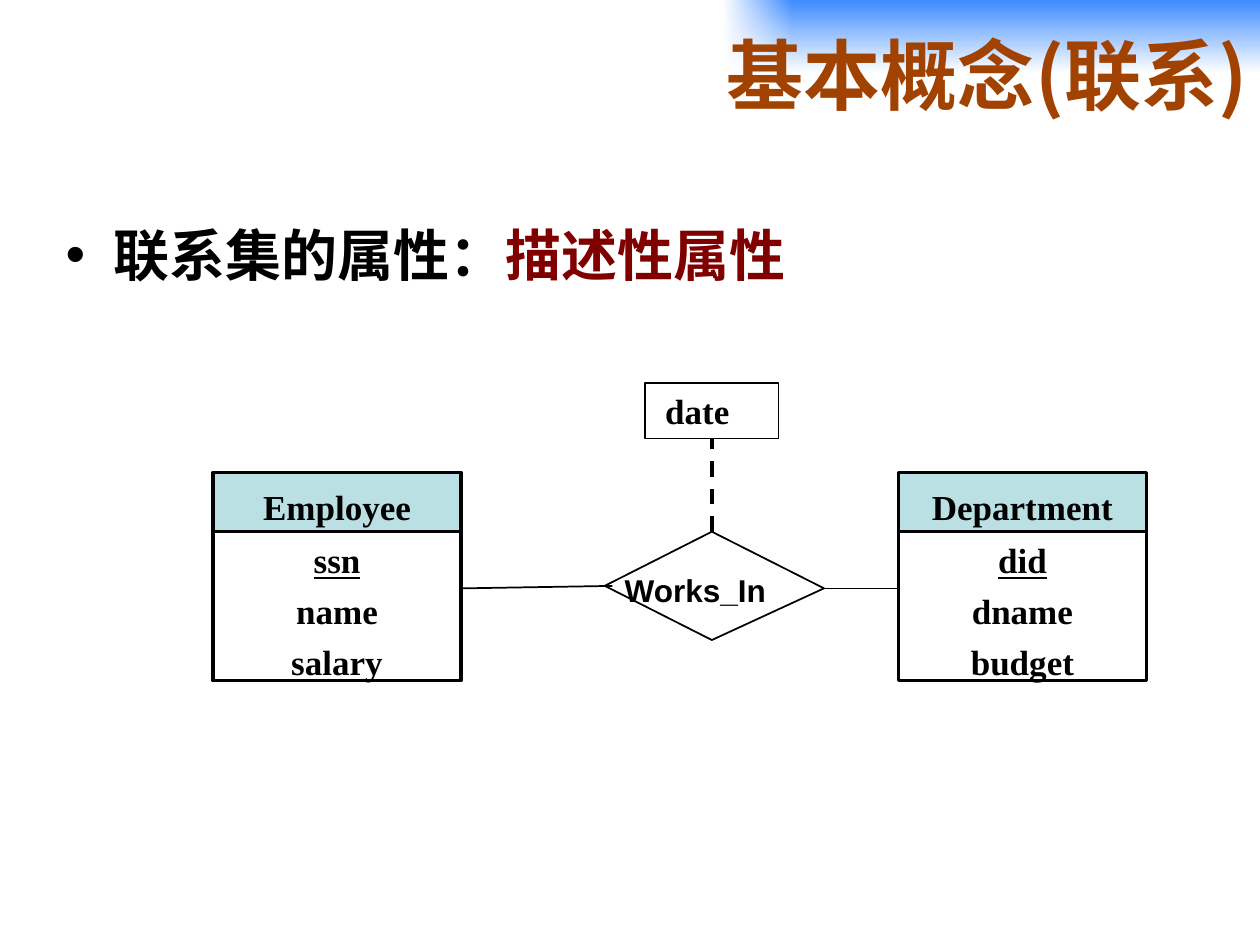
from dataclasses import dataclass

from lxml import etree
from pptx import Presentation
from pptx.dml.color import RGBColor
from pptx.enum import dml, shapes, text
from pptx.oxml.ns import qn
from pptx.util import Inches, Pt


@dataclass(frozen=True)
class Theme:
    black: str = "000000"
    white: str = "FFFFFF"
    title: str = "A24200"
    accent: str = "800000"
    header: str = "BBE0E3"
    sky: str = "3D8BFF"
    title_size: int = 44
    body_size: int = 32
    entity_size: int = 20
    relation_size: int = 18
    title_font: str = "Noto Sans CJK SC"
    body_font: str = "Noto Sans CJK JP"
    serif: str = "Times New Roman"
    sans: str = "Arial"


T = Theme()
ENTITY_W, HEADER_H, ATTRS_H = 1.97, 0.47, 1.18
ENTITY_TOP, LINK_Y = 3.75, 4.67


def rgb(value):
    return RGBColor.from_string(value)


def place(sp, x, y, w, h):
    sp.left, sp.top, sp.width, sp.height = (Inches(v) for v in (x, y, w, h))


def add_text(p, content, size=T.entity_size, font=T.serif, color=T.black, underline=False):
    r = p.add_run()
    r.text = content
    f = r.font
    f.size, f.name, f.bold, f.underline = Pt(size), font, True, underline
    f.color.rgb = rgb(color)
    ea = etree.SubElement(r._r.get_or_add_rPr(), qn("a:ea"))
    ea.set("typeface", font)


def set_frame(tf, anchor=text.MSO_ANCHOR.MIDDLE, wrap=True, left=0.1, top=0.05, bottom=0.05):
    tf.word_wrap, tf.vertical_anchor = wrap, anchor
    tf.auto_size = text.MSO_AUTO_SIZE.NONE
    tf.margin_left, tf.margin_right = Inches(left), Inches(0.1)
    tf.margin_top, tf.margin_bottom = Inches(top), Inches(bottom)


def add_box(s, x, y, w, h, fill=None, line=2):
    sp = s.shapes.add_shape(shapes.MSO_SHAPE.RECTANGLE, *(Inches(v) for v in (x, y, w, h)))
    sp.shadow.inherit = False
    if fill:
        sp.fill.solid()
        sp.fill.fore_color.rgb = rgb(fill)
    else:
        sp.fill.background()
    if line:
        sp.line.color.rgb = rgb(T.black)
        sp.line.width = Pt(line)
    else:
        sp.line.fill.background()
    return sp


def add_line(s, start, end, width=1, dash=None):
    points = [Inches(v) for v in (*start, *end)]
    c = s.shapes.add_connector(shapes.MSO_CONNECTOR.STRAIGHT, *points)
    c.line.color.rgb = rgb(T.black)
    c.line.width = Pt(width)
    if dash:
        c.line.dash_style = dash
    etree.SubElement(c._element.spPr, qn("a:effectLst"))
    return c


def add_gradient(s, box, colors, angle):
    sp = add_box(s, *box, line=None)
    sp.fill.gradient()
    sp.fill.gradient_angle = angle
    for stop, color, position in zip(sp.fill.gradient_stops, colors, (0, 1)):
        stop.color.rgb = rgb(color)
        stop.position = position
    return sp


def add_corner(s):
    """Blue corner band that fades out downwards and to the left."""
    add_gradient(s, (5.74, 0, 4.26, 0.58), (T.sky, T.white), 270)
    fade = add_gradient(s, (5.74, 0, 0.54, 0.58), (T.white, T.white), 0)
    last = fade._element.findall(".//" + qn("a:srgbClr"))[-1]
    etree.SubElement(last, qn("a:alpha")).set("val", "0")


def add_title(sp):
    place(sp, 1.46, 0, 8.54, 1.17)
    set_frame(sp.text_frame)
    p = sp.text_frame.paragraphs[0]
    p.alignment = text.PP_ALIGN.RIGHT
    add_text(p, "基本概念(联系)", T.title_size, T.title_font, T.title)


def add_body(sp):
    place(sp, 0.42, 1.7, 9, 0.8)
    set_frame(sp.text_frame, anchor=text.MSO_ANCHOR.TOP)
    p = sp.text_frame.paragraphs[0]
    pPr = p._p.get_or_add_pPr()
    pPr.set("marL", str(Inches(0.38)))
    pPr.set("indent", str(Inches(-0.38)))
    etree.SubElement(pPr, qn("a:buFont")).set("typeface", T.sans)
    etree.SubElement(pPr, qn("a:buChar")).set("char", "•")
    p.space_before = Pt(0)
    add_text(p, "联系集的属性：", T.body_size, T.body_font)
    add_text(p, "描述性属性", T.body_size, T.body_font, T.accent)


def add_entity(s, x, name, attributes):
    """Header box over an attribute box; the first attribute is the key."""
    header = add_box(s, x, ENTITY_TOP, ENTITY_W, HEADER_H, T.header)
    attrs = add_box(s, x, ENTITY_TOP + HEADER_H, ENTITY_W, ATTRS_H, T.white)
    for sp, lines in ((header, [name]), (attrs, attributes)):
        tf = sp.text_frame
        set_frame(tf, top=0.07, bottom=0)
        for i, line in enumerate(lines):
            p = tf.add_paragraph() if i else tf.paragraphs[0]
            p.alignment = text.PP_ALIGN.CENTER
            p.space_before = Pt(5 if i else 0)
            add_text(p, line, underline=sp is attrs and i == 0)


def add_relationship(s, name):
    points = [(Inches(x), Inches(y)) for x, y in
              ((4.8, 4.65), (5.65, 4.22), (6.54, LINK_Y), (5.65, 5.08))]
    builder = s.shapes.build_freeform(*points[0])
    builder.add_line_segments(points[1:], close=True)
    diamond = builder.convert_to_shape()
    diamond.shadow.inherit = False
    diamond.fill.background()
    diamond.line.color.rgb = rgb(T.black)
    diamond.line.width = Pt(1)
    label = s.shapes.add_textbox(*(Inches(v) for v in (4.86, 4.48, 1.44, 0.4)))
    set_frame(label.text_frame, wrap=False)
    p = label.text_frame.paragraphs[0]
    p.alignment = text.PP_ALIGN.LEFT
    add_text(p, name, T.relation_size, T.sans)


def add_attribute(s, name):
    sp = add_box(s, 5.12, 3.04, 1.06, 0.44, line=0.75)
    set_frame(sp.text_frame, left=0.16)
    p = sp.text_frame.paragraphs[0]
    p.alignment = text.PP_ALIGN.LEFT
    add_text(p, name)
    return sp


def main():
    prs = Presentation()
    prs.slide_width, prs.slide_height = Inches(10), Inches(7.5)
    s = prs.slides.add_slide(prs.slide_layouts[1])
    title, body = s.placeholders
    add_corner(s)
    for sp in (title, body):
        s.shapes._spTree.append(sp._element)  # bring in front of the corner
    add_title(title)
    add_body(body)

    add_relationship(s, "Works_In")
    employee_x, department_x = 1.69, 7.13
    add_line(s, (4.86, 4.65), (employee_x + ENTITY_W, LINK_Y))
    add_line(s, (6.54, LINK_Y), (department_x, LINK_Y))
    add_entity(s, employee_x, "Employee", ["ssn", "name", "salary"])
    add_entity(s, department_x, "Department", ["did", "dname", "budget"])
    date = add_attribute(s, "date")
    link = add_line(s, (5.65, 4.22), (5.65, 3.48), 2.25, dml.MSO_LINE.DASH)
    link.end_connect(date, 2)
    prs.save("out.pptx")


if __name__ == "__main__":
    main()
